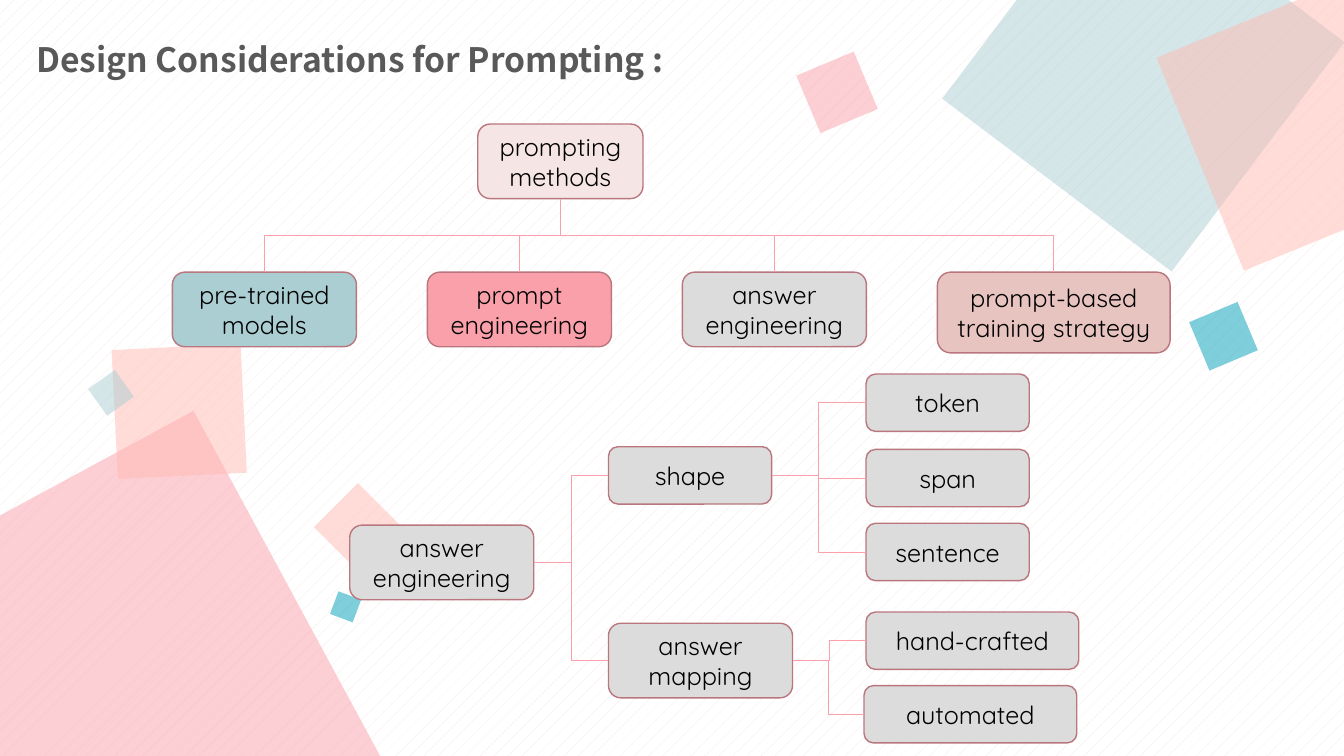
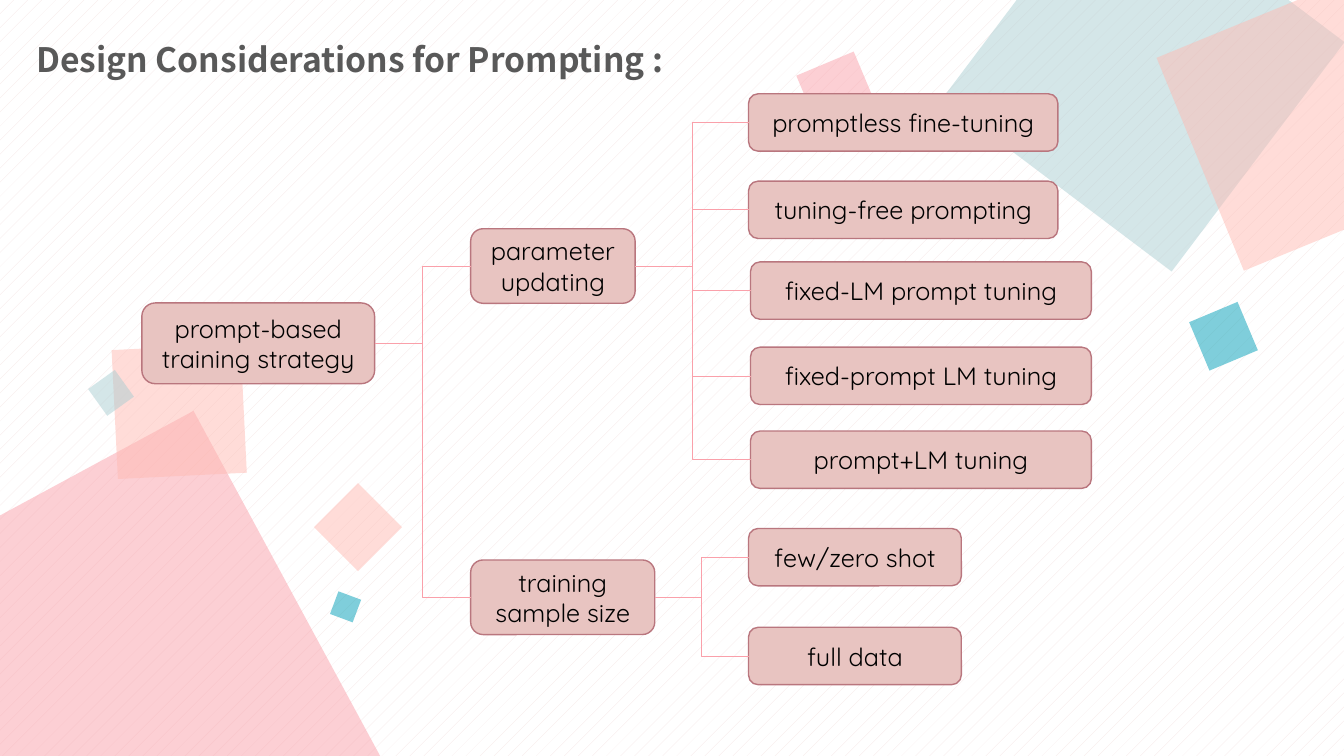
from lxml.etree import SubElement
from pptx import Presentation
from pptx.dml.color import RGBColor
from pptx.enum.dml import MSO_PATTERN
from pptx.enum.shapes import MSO_CONNECTOR, MSO_SHAPE
from pptx.enum.text import MSO_ANCHOR, MSO_AUTO_SIZE, PP_ALIGN
from pptx.oxml.ns import qn
from pptx.util import Pt

WHITE = RGBColor(0xFF, 0xFF, 0xFF)
BLACK = RGBColor(0x00, 0x00, 0x00)
DARK_GRAY = RGBColor(0x59, 0x59, 0x59)
GRAY = RGBColor(0xDC, 0xDC, 0xDC)
BLUSH = RGBColor(0xF5, 0xE5, 0xE4)
ROSE = RGBColor(0xE8, 0xC4, 0xC1)
PINK = RGBColor(0xFA, 0xA0, 0xAA)
PEACH = RGBColor(0xFF, 0xBB, 0xB3)
MIST = RGBColor(0xAA, 0xCE, 0xD2)
TEAL = RGBColor(0x00, 0x9F, 0xB8)
MAROON = RGBColor(0xB9, 0x76, 0x7E)

TITLE = "Design Considerations for Prompting :"
TITLE_FONT = "Noto Sans CJK SC"
BOX_FONT = "Quicksand"

SMALL = (116.6, 41)
MEDIUM = (152, 41)
WIDE = (221, 41)
WIDEST = (243.5, 41)
NARROW_PAIR = (117.5, 53.3)
PAIR = (131.5, 53.3)
WIDE_PAIR = (166.3, 57.7)
TOP, LEFT, BOTTOM, RIGHT = range(4)

SQUARES = [
    (-67, 345.4, 292.4, 331.6, PINK),
    (81.9, 247.8, 92.2, 357.2, PEACH),
    (233.5, 354.3, 44.5, 315, PEACH),
    (67.6, 268.9, 23.5, 324.4, MIST),
    (714.1, -52.3, 205.2, 37, MIST),
    (851.2, 4, 164.4, 337.7, PEACH),
    (575.7, 43.7, 44.5, 337.2, PINK),
    (855.2, 221.4, 37.5, 337.2, TEAL),
    (238.2, 424.8, 17.3, 290.5, TEAL),
]


def add_filled(page, kind, left, top, width, height, color):
    shape = page.shapes.add_shape(kind, Pt(left), Pt(top), Pt(width), Pt(height))
    shape.shadow.inherit = False
    shape.fill.solid()
    shape.fill.fore_color.rgb = color
    return shape


def decorate(layout, page):
    fill = layout.background.fill
    fill.patterned()
    fill.pattern = MSO_PATTERN.PERCENT_5
    fill.fore_color.rgb = BLUSH
    fill.back_color.rgb = WHITE
    for index, (left, top, side, angle, color) in enumerate(SQUARES):
        square = add_filled(page, MSO_SHAPE.RECTANGLE, left, top, side, side, color)
        square.rotation = angle
        square.line.fill.background()
        element = square._element
        SubElement(element.spPr.find(".//" + qn("a:srgbClr")), qn("a:alpha"), val="50000")
        element.nvSpPr.cNvPr.set("id", str(20 + index))
        layout.shapes._spTree.insert(2 + index, element)


def add_title(page):
    title = page.shapes.title
    title.left, title.top, title.width, title.height = Pt(18.7), Pt(3.6), Pt(941), Pt(62.6)
    frame = title.text_frame
    frame.text = TITLE
    frame.auto_size = MSO_AUTO_SIZE.NONE
    frame.vertical_anchor = MSO_ANCHOR.MIDDLE
    para = frame.paragraphs[0]
    para.alignment = PP_ALIGN.LEFT
    para.line_spacing = 1.5
    para.font.name = TITLE_FONT
    para.font.size = Pt(24)
    para.font.bold = True
    para.font.color.rgb = DARK_GRAY


def add_box(page, text, left, top, size, color):
    box = add_filled(page, MSO_SHAPE.ROUNDED_RECTANGLE, left, top, *size, color)
    box.line.color.rgb = MAROON
    box.line.width = Pt(1)
    frame = box.text_frame
    frame.text = text
    frame.word_wrap = True
    frame.vertical_anchor = MSO_ANCHOR.MIDDLE
    para = frame.paragraphs[0]
    para.alignment = PP_ALIGN.CENTER
    para.font.name = BOX_FONT
    para.font.size = Pt(18)
    para.font.color.rgb = BLACK
    return box


def add_elbow(page, parent, child, start, end):
    elbow = page.shapes.add_connector(MSO_CONNECTOR.ELBOW, 0, 0, 0, 0)
    elbow.begin_connect(parent, start)
    elbow.end_connect(child, end)
    elbow.line.color.rgb = PINK
    elbow.line.width = Pt(0.5)
    SubElement(elbow._element.spPr, qn("a:effectLst"))
    return elbow


def turn_downward(elbow):
    rightward = elbow.end_x > elbow.begin_x
    width, height = elbow.width, elbow.height
    elbow.left += (width - height) // 2
    elbow.top += (height - width) // 2
    elbow.width, elbow.height = height, width
    frame = elbow._element.spPr.find(qn("a:xfrm"))
    frame.set("rot", str((270 if rightward else 90) * 60000))
    frame.set("flipH", "1" if rightward else "0")


def branch_right(page, parent, children):
    for child in children:
        add_elbow(page, parent, child, RIGHT, LEFT)


def branch_down(page, parent, children):
    for child in children:
        turn_downward(add_elbow(page, parent, child, BOTTOM, TOP))


def add_column(page, entries, left, size, color):
    return [add_box(page, text, left, top, size, color) for text, top in entries]


def build_methods(page):
    root = add_box(page, "prompting methods", 341.3, 88.6, (118, 53.3), BLUSH)
    methods = [
        ("pre-trained models", PAIR, MIST),
        ("prompt engineering", PAIR, PINK),
        ("answer engineering", PAIR, GRAY),
        ("prompt-based training strategy", WIDE_PAIR, ROSE),
    ]
    branch_down(page, root, [
        add_box(page, text, 123.1 + 182.15 * index, 194.4, size, color)
        for index, (text, size, color) in enumerate(methods)
    ])

    answer = add_box(page, "answer engineering", 249.8, 375.1, PAIR, GRAY)
    shape = add_box(page, "shape", 434.6, 319.1, SMALL, GRAY)
    mapping = add_box(page, "answer mapping", 434.6, 445.2, PAIR, GRAY)
    branch_right(page, answer, [shape, mapping])
    units = [("token", 267.2), ("span", 321), ("sentence", 373.8)]
    branch_right(page, shape, add_column(page, units, 618.6, SMALL, GRAY))
    branch_right(page, mapping, [
        add_box(page, "hand-crafted", 618.6, 437.2, MEDIUM, GRAY),
        add_box(page, "automated", 617.2, 489.7, MEDIUM, GRAY),
    ])


def build_strategy(page):
    root = add_box(page, "prompt-based training strategy", 101.3, 216.4, WIDE_PAIR, ROSE)
    updating = add_box(page, "parameter updating", 336.2, 163.4, NARROW_PAIR, ROSE)
    sample = add_box(page, "training sample size", 336.2, 400, PAIR, ROSE)
    branch_right(page, root, [updating, sample])
    plain = [("promptless fine-tuning", 67), ("tuning-free prompting", 129.4)]
    tuned = [
        ("fixed-LM prompt tuning", 187.1),
        ("fixed-prompt LM tuning", 248),
        ("prompt+LM tuning", 307.9),
    ]
    sizes = [("few/zero shot", 377.5), ("full data", 448.1)]
    branch_right(page, updating, add_column(page, plain, 534.7, WIDE, ROSE))
    branch_right(page, updating, add_column(page, tuned, 536.1, WIDEST, ROSE))
    branch_right(page, sample, add_column(page, sizes, 534.7, MEDIUM, ROSE))


def main():
    deck = Presentation()
    deck.slide_width, deck.slide_height = Pt(960), Pt(540)
    layout = deck.slide_layouts.get_by_name("Title Only")
    pages = [deck.slides.add_slide(layout) for _ in range(2)]
    decorate(layout, pages[0])
    for page, build in zip(pages, (build_methods, build_strategy)):
        add_title(page)
        build(page)
    deck.save("out.pptx")


if __name__ == "__main__":
    main()
